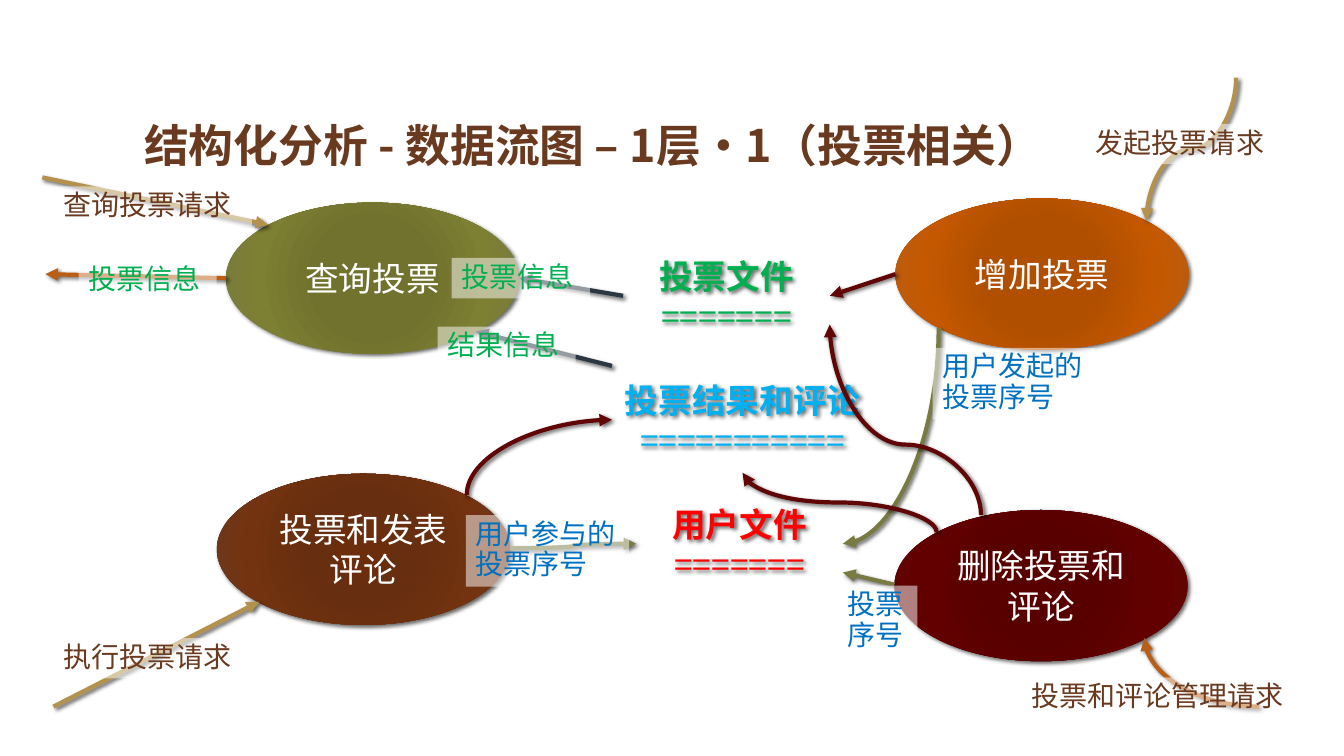
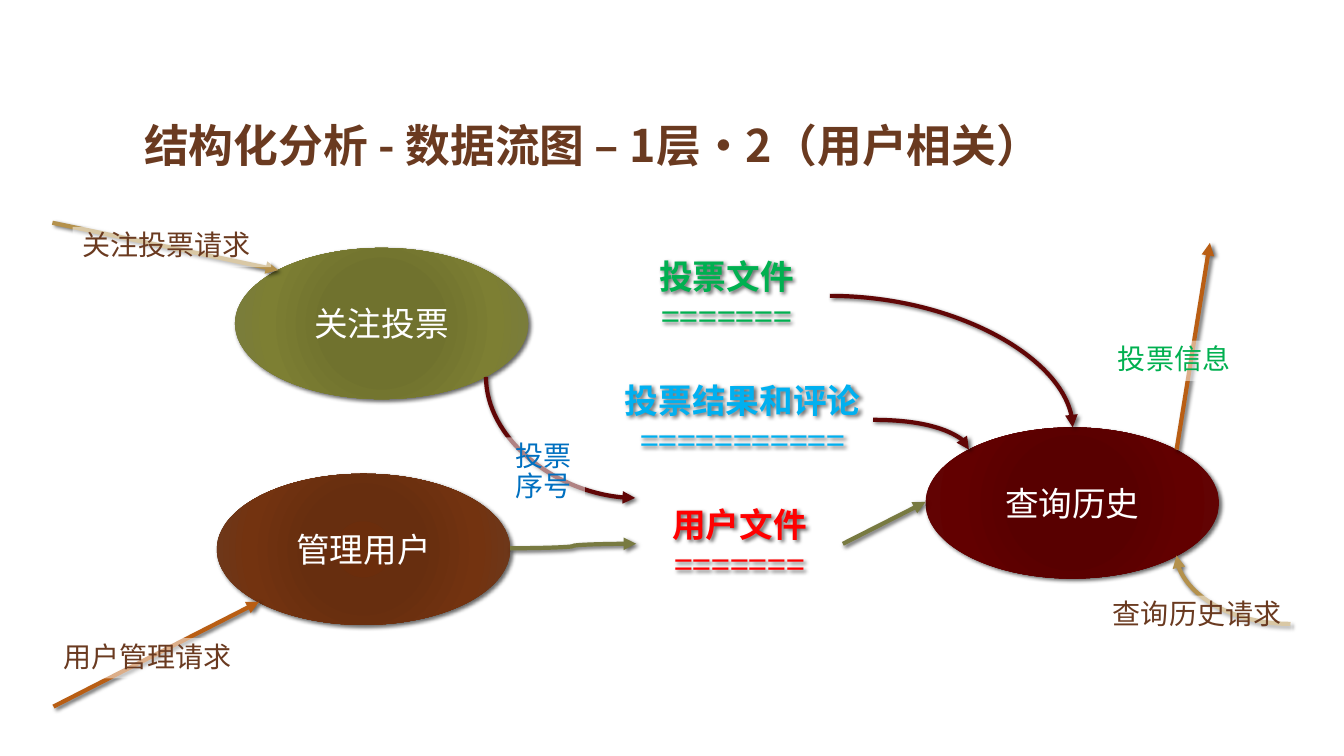
from lxml.etree import SubElement
from pptx import Presentation
from pptx.dml.color import RGBColor
from pptx.enum.shapes import MSO_CONNECTOR as Connector, MSO_SHAPE as Shape
from pptx.enum.text import MSO_ANCHOR as Anchor, MSO_AUTO_SIZE as AutoSize, PP_ALIGN as Align
from pptx.oxml import parse_xml
from pptx.oxml.ns import nsdecls, qn
from pptx.util import Emu, Pt

SCALE = 9144
FONT = "Noto Sans CJK SC"
COLORS = {
    "brown": "6A3A20", "white": "FFFFFF", "green": "00B050", "sky": "00B0F0",
    "red": "FF0000", "blue": "0070C0", "sand": "B4914C", "orange": "B95E14",
    "olive": "787A41", "maroon": "610606", "slate": "2B3742", "black": "000000",
}
GRADIENTS = {
    "orange": ("B04F00", "B04F00", "C45800", "B95E14"),
    "maroon": ("580000", "580000", "620000", "610606"),
    "brown": ("6B2D0C", "672E0F", "733310", "6A3A20"),
    "olive": ("72752B", "70722E", "7D7F33", "787A41"),
}
STOPS = (0, 34, 70, 100)
TITLE_BOX = (133, 47, 1066, 128)
STORES_ORIGIN = (607, 241)
STORE_STEP = 123
STORE_HEIGHT = 105
PROCESS_SIZE = (291, 150)
STORES = (
    ("votes", 11, 205, "投票文件", "=======", "green"),
    ("results", 0, 259, "投票结果和评论", "===========", "sky"),
    ("users", 24, 205, "用户文件", "=======", "red"),
)

VOTING = {
    "title": "结构化分析 - 数据流图 – 1层·1（投票相关）",
    "processes": (
        (888, 197, "增加投票", "orange"),
        (887, 506, "删除投票和评论", "maroon"),
        (215, 470, "投票和发表评论", "brown"),
        (224, 201, "查询投票", "olive"),
    ),
    "flows": (
        ((53, 701), (257, 597), "sand", "straight"),
        ((1226, 77), (1137, 219), "sand", "v3"),
        ((42, 176), (266, 223), "sand", "straight"),
        ((931, 325), ("users", 3), "olive", "v2"),
        ((1249, 701), (1135, 633), "orange", "h2"),
        ((463, 491), ("results", 1), "maroon", "v2"),
        ((888, 272), ("votes", 3), "maroon", "straight"),
        ((973, 511), (823, 322), "maroon", "v3", 0.37),
        ((929, 528), ("results", 2), "maroon", "v3"),
        ((506, 544), ("users", 1), "olive", "h3"),
        ((887, 580), (836, 568), "olive", "straight"),
        ((224, 276), (45, 272), "orange", "straight"),
        (("votes", 1), (515, 276), "slate", "straight"),
        ((607, 363), (472, 329), "slate", "straight"),
    ),
    "labels": (
        (53, 633, 197, "执行投票请求", "brown"),
        (1077, 123, 197, "发起投票请求", "brown"),
        (1013, 672, 272, "投票和评论管理请求", "brown"),
        (53, 185, 197, "查询投票请求", "brown"),
        (462, 511, 162, "用户参与的\n投票序号", "blue"),
        (925, 345, 161, "用户发起的\n投票序号", "blue"),
        (78, 258, 137, "投票信息", "green"),
        (831, 581, 79, "投票序号", "blue"),
        (448, 256, 137, "投票信息", "green"),
        (434, 324, 137, "结果信息", "green"),
    ),
}
USERS = {
    "title": "结构化分析 - 数据流图 – 1层·2（用户相关）",
    "processes": (
        (918, 424, "查询历史", "maroon"),
        (215, 470, "管理用户", "brown"),
        (233, 246, "关注投票", "olive"),
    ),
    "flows": (
        ((53, 701), (257, 597), "orange", "straight"),
        ((52, 221), (276, 268), "sand", "straight"),
        ((1280, 619), (1167, 551), "sand", "h2"),
        ((482, 374), (630, 494), "maroon", "v2"),
        (("votes", 3), (1064, 424), "maroon", "h2"),
        (("results", 3), (961, 446), "maroon", "h2"),
        ((506, 544), ("users", 1), "olive", "h3"),
        (("users", 3), (918, 498), "olive", "straight"),
        ((1167, 446), (1200, 241), "orange", "straight"),
    ),
    "labels": (
        (53, 633, 197, "用户管理请求", "brown"),
        (1094, 591, 188, "查询历史请求", "brown"),
        (72, 225, 197, "关注投票请求", "brown"),
        (501, 434, 79, "投票序号", "blue"),
        (1099, 338, 137, "投票信息", "green"),
    ),
}


def px(*lengths):
    return [Emu(round(length * SCALE)) for length in lengths]


def color(name):
    return RGBColor.from_string(COLORS[name])


def format_paragraph(paragraph, size, color_name, bold=False, align=Align.LEFT):
    paragraph.alignment = align
    for run in paragraph.runs:
        run.font.size = Pt(size)
        run.font.bold = bold
        run.font.name = FONT
        run.font.color.rgb = color(color_name)
        SubElement(run.font._element, qn("a:ea")).set("typeface", FONT)


def add_shadow(shape):
    effects = SubElement(shape._element.spPr, qn("a:effectLst"))
    shadow = SubElement(effects, qn("a:outerShdw"), blurRad=str(Pt(3)), dist=str(Pt(2)),
                        dir="2700000", algn="tl", rotWithShape="0")
    tint = SubElement(shadow, qn("a:srgbClr"), val=COLORS["black"])
    SubElement(tint, qn("a:alpha"), val="60000")


def add_title(slide, text, box):
    title = slide.shapes.title
    title.left, title.top, title.width, title.height = px(*box)
    frame = title.text_frame
    frame.text = text
    frame.auto_size = AutoSize.NONE
    frame.vertical_anchor = Anchor.BOTTOM
    format_paragraph(frame.paragraphs[0], 32, "brown", bold=True)


def add_stores(slide, origin):
    left, top = origin
    stores = {}
    for row, (key, indent, width, name, rule, color_name) in enumerate(STORES):
        box = px(left + indent, top + row * STORE_STEP, width, STORE_HEIGHT)
        store = slide.shapes.add_textbox(*box)
        frame = store.text_frame
        frame.word_wrap = True
        frame.vertical_anchor = Anchor.MIDDLE
        frame.text = f"{name}\n{rule}"
        for paragraph, bold in zip(frame.paragraphs, (True, False)):
            format_paragraph(paragraph, 24, color_name, bold, Align.CENTER)
        add_shadow(store)
        stores[key] = store
    return stores


def add_process(slide, left, top, text, gradient):
    process = slide.shapes.add_shape(Shape.OVAL, *px(left, top, *PROCESS_SIZE))
    process.line.fill.background()
    stops = "".join(
        f'<a:gs pos="{stop * 1000}"><a:srgbClr val="{shade}"/></a:gs>'
        for stop, shade in zip(STOPS, GRADIENTS[gradient]))
    fill = parse_xml(
        f'<a:gradFill {nsdecls("a")} rotWithShape="1"><a:gsLst>{stops}</a:gsLst>'
        '<a:path path="circle"><a:fillToRect l="100000" t="100000" r="100000" b="100000"/>'
        '</a:path></a:gradFill>')
    process._element.spPr.find(qn("a:prstGeom")).addnext(fill)
    add_shadow(process)
    frame = process.text_frame
    frame.text = text
    frame.word_wrap = True
    frame.vertical_anchor = Anchor.MIDDLE
    format_paragraph(frame.paragraphs[0], 24, "white", align=Align.CENTER)


def locate(point, stores):
    if point[0] not in stores:
        return px(*point)
    store, side = stores[point[0]], point[1]
    across, down = ((1, 0), (0, 1), (1, 2), (2, 1))[side]
    return store.left + store.width * across // 2, store.top + store.height * down // 2


def bend(connector, start, end, route, adjust):
    across, down = end[0] - start[0], end[1] - start[1]
    transform = connector._element.spPr.find(qn("a:xfrm"))
    if route[0] == "v":
        width, height = abs(down), abs(across)
        connector.left = (start[0] + end[0] - width) // 2
        connector.top = (start[1] + end[1] - height) // 2
        connector.width, connector.height = width, height
        transform.set("rot", "5400000")
        transform.set("flipH", str(int(down < 0)))
        transform.set("flipV", str(int(across > 0)))
    geometry = connector._element.spPr.find(qn("a:prstGeom"))
    geometry.set("prst", f"curvedConnector{route[1]}")
    if route[1] == "3":
        guides = geometry.get_or_add_avLst()
        SubElement(guides, qn("a:gd"), name="adj1", fmla=f"val {round(adjust * 100000)}")


def add_flow(slide, stores, start, end, color_name, route, adjust=0.5):
    kind = Connector.STRAIGHT if route == "straight" else Connector.CURVE
    begin_point, end_point = locate(start, stores), locate(end, stores)
    connector = slide.shapes.add_connector(kind, *begin_point, *end_point)
    if route == "straight":
        if start[0] in stores:
            connector.begin_connect(stores[start[0]], start[1])
        if end[0] in stores:
            connector.end_connect(stores[end[0]], end[1])
    else:
        bend(connector, begin_point, end_point, route, adjust)
    connector.line.width = Pt(3)
    connector.line.color.rgb = color(color_name)
    SubElement(connector.line._get_or_add_ln(), qn("a:tailEnd"), type="triangle")
    add_shadow(connector)


def add_label(slide, left, top, width, text, color_name):
    height = 71 if "\n" in text or width < 100 else 40
    label = slide.shapes.add_shape(Shape.RECTANGLE, *px(left, top, width, height))
    label.shadow.inherit = False
    label.line.fill.background()
    label.fill.solid()
    label.fill.fore_color.rgb = color("white")
    tint = label._element.spPr.find(qn("a:solidFill")).find(qn("a:srgbClr"))
    SubElement(tint, qn("a:alpha"), val="50000")
    frame = label.text_frame
    frame.text = text
    frame.word_wrap = True
    frame.auto_size = AutoSize.SHAPE_TO_FIT_TEXT
    frame.vertical_anchor = Anchor.TOP
    for paragraph in frame.paragraphs:
        paragraph.line_spacing = 0.9
        format_paragraph(paragraph, 20, color_name)


def add_diagram(presentation, diagram):
    slide = presentation.slides.add_slide(presentation.slide_layouts[5])
    add_title(slide, diagram["title"], TITLE_BOX)
    stores = add_stores(slide, STORES_ORIGIN)
    for process in diagram["processes"]:
        add_process(slide, *process)
    for flow in diagram["flows"]:
        add_flow(slide, stores, *flow)
    for label in diagram["labels"]:
        add_label(slide, *label)


def main():
    presentation = Presentation()
    presentation.slide_width, presentation.slide_height = px(1333, 750)
    for diagram in (VOTING, USERS):
        add_diagram(presentation, diagram)
    presentation.save("out.pptx")


if __name__ == "__main__":
    main()
